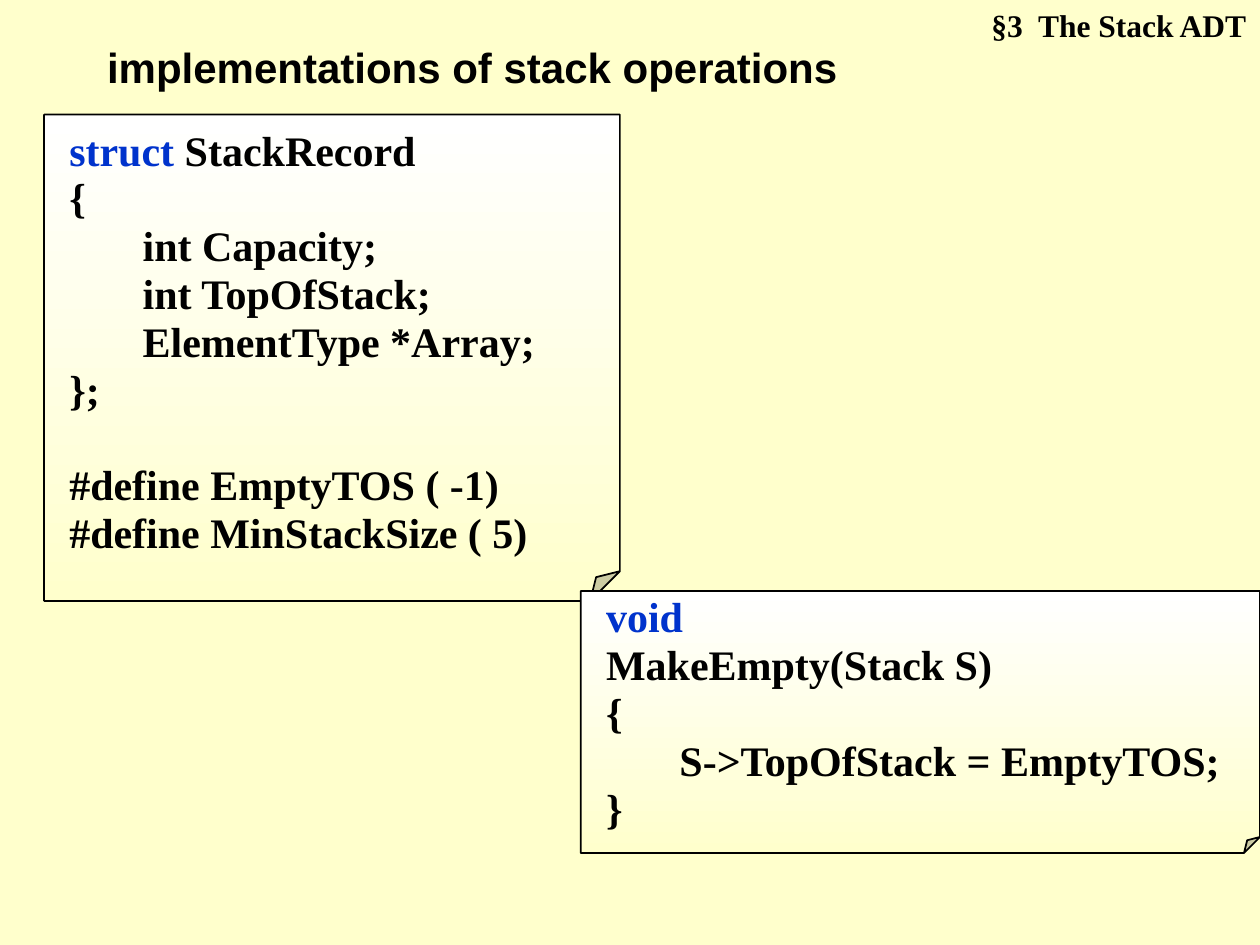
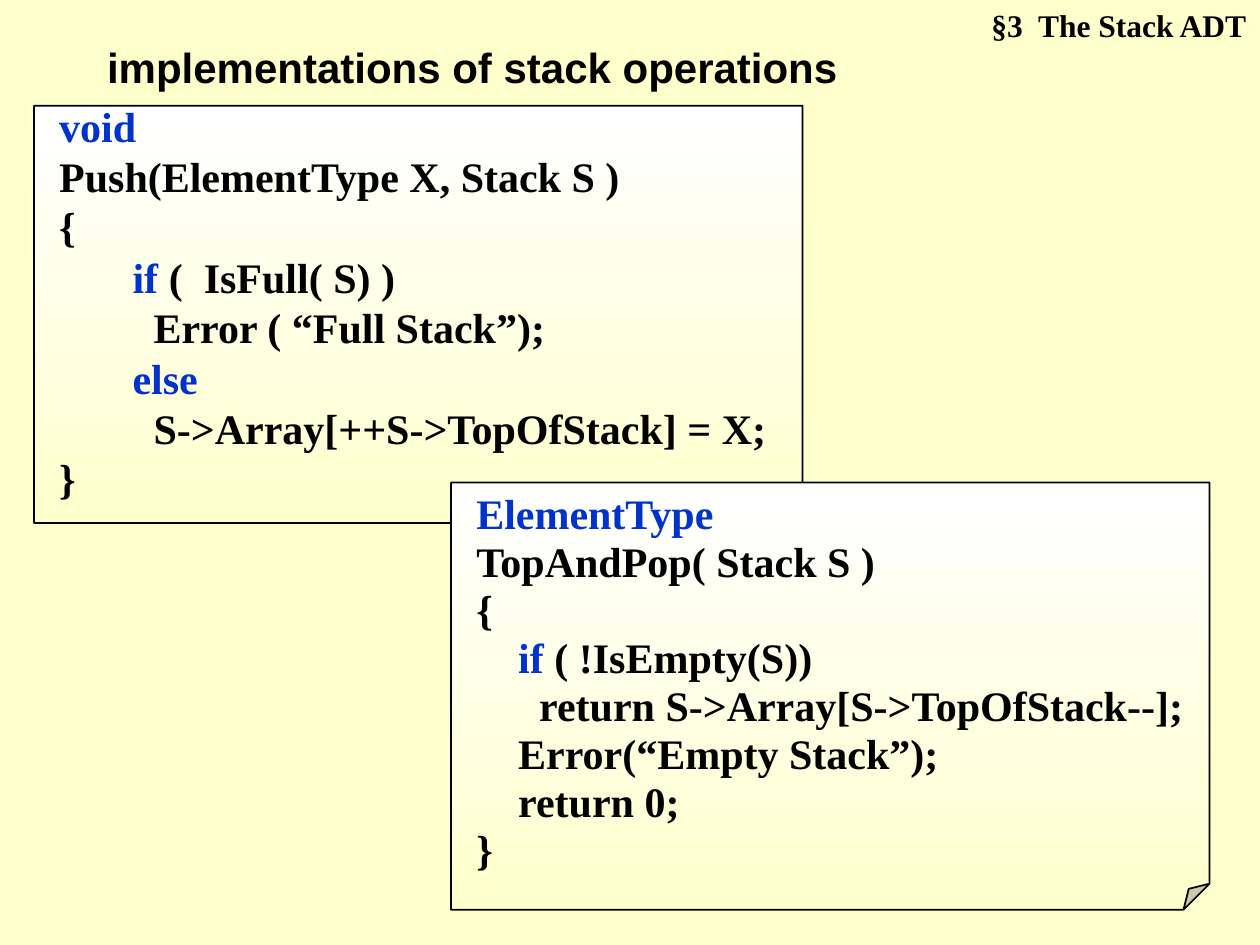
from dataclasses import dataclass

from lxml.etree import SubElement
from pptx import Presentation
from pptx.dml.color import RGBColor
from pptx.enum.shapes import MSO_SHAPE
from pptx.enum.text import MSO_ANCHOR, MSO_AUTO_SIZE, PP_ALIGN
from pptx.oxml.ns import qn
from pptx.presentation import Presentation as Deck
from pptx.shapes.autoshape import Shape
from pptx.slide import Slide
from pptx.text.text import Font, TextFrame
from pptx.util import Emu, Pt

EMU_PER_PX = 9144
CREAM = RGBColor(0xFF, 0xFF, 0xCC)
WHITE = RGBColor(0xFF, 0xFF, 0xFF)
BLACK = RGBColor(0x00, 0x00, 0x00)
KEYWORD_BLUE = RGBColor(0x00, 0x33, 0xCC)
HEADING_FONT = "Arial"
BODY_FONT = "Times New Roman"
TITLE_ONLY_LAYOUT = 5
CODE_SIZE = 24
FOLD_SIZE = 6100
TITLE = "implementations of stack operations"
SECTION = "§3  The Stack ADT"


@dataclass(frozen=True)
class Box:
    left: int
    top: int
    width: int
    height: int

    def emu(self) -> tuple[Emu, Emu, Emu, Emu]:
        return px(self.left), px(self.top), px(self.width), px(self.height)


@dataclass(frozen=True)
class CodeLine:
    text: str = ""
    keyword: str = ""
    gap_before: int = 0


@dataclass(frozen=True)
class CodeNote:
    box: Box
    lines: tuple[CodeLine, ...]
    line_spacing: float = 0.95


TITLE_BOX = Box(75, 28, 622, 50)
SECTION_BOX = Box(657, 0, 342, 40)

STACK_RECORD = CodeNote(Box(35, 91, 457, 386), (
    CodeLine(" StackRecord", "struct"),
    CodeLine("{"),
    CodeLine("       int Capacity;"),
    CodeLine("       int TopOfStack;"),
    CodeLine("       ElementType *Array;"),
    CodeLine("};"),
    CodeLine("#define EmptyTOS ( -1)", gap_before=27),
    CodeLine("#define MinStackSize ( 5)"),
))
MAKE_EMPTY = CodeNote(Box(461, 469, 539, 208), (
    CodeLine(keyword="void"),
    CodeLine("MakeEmpty(Stack S)"),
    CodeLine("{"),
    CodeLine("       S->TopOfStack = EmptyTOS;"),
    CodeLine("}"),
))
PUSH = CodeNote(Box(27, 84, 610, 331), (
    CodeLine(keyword="void"),
    CodeLine("Push(ElementType X, Stack S )"),
    CodeLine("{"),
    CodeLine(" (  IsFull( S) )", "       if"),
    CodeLine("         Error ( “Full Stack”);"),
    CodeLine(keyword="       else"),
    CodeLine("         S->Array[++S->TopOfStack] = X;"),
    CodeLine("}"),
), line_spacing=1.0)
TOP_AND_POP = CodeNote(Box(358, 383, 602, 339), (
    CodeLine(keyword="ElementType"),
    CodeLine("TopAndPop( Stack S )"),
    CodeLine("{"),
    CodeLine(" ( !IsEmpty(S))", "    if"),
    CodeLine("      return S->Array[S->TopOfStack--];"),
    CodeLine("    Error(“Empty Stack”);"),
    CodeLine("    return 0;"),
    CodeLine("}"),
))
SLIDES = ((STACK_RECORD, MAKE_EMPTY), (PUSH, TOP_AND_POP))


def px(length: int) -> Emu:
    return Emu(length * EMU_PER_PX)


def style_font(font: Font, name: str, size: int, color: RGBColor = BLACK) -> None:
    font.name = name
    font.size = Pt(size)
    font.bold = True
    font.color.rgb = color


def set_frame(frame: TextFrame, anchor: MSO_ANCHOR, left: int = 10, right: int = 10) -> None:
    frame.word_wrap = True
    frame.auto_size = MSO_AUTO_SIZE.NONE
    frame.vertical_anchor = anchor
    frame.margin_left, frame.margin_right = px(left), px(right)
    frame.margin_top = frame.margin_bottom = px(5)


def write_label(frame: TextFrame, text: str, font_name: str, size: int,
                alignment: PP_ALIGN) -> None:
    set_frame(frame, MSO_ANCHOR.TOP)
    frame.text = text
    paragraph = frame.paragraphs[0]
    paragraph.alignment = alignment
    style_font(paragraph.runs[0].font, font_name, size)


def add_headings(slide: Slide) -> None:
    title = slide.shapes.title
    title.left, title.top, title.width, title.height = TITLE_BOX.emu()
    write_label(title.text_frame, TITLE, HEADING_FONT, 24, PP_ALIGN.LEFT)
    section = slide.shapes.add_textbox(*SECTION_BOX.emu())
    write_label(section.text_frame, SECTION, BODY_FONT, 18, PP_ALIGN.RIGHT)


def set_fold(shape: Shape) -> None:
    geometry = shape.element.spPr.find(qn("a:prstGeom"))
    adjustments = geometry.find(qn("a:avLst"))
    if adjustments is None:
        adjustments = SubElement(geometry, qn("a:avLst"))
    SubElement(adjustments, qn("a:gd"), name="adj", fmla=f"val {FOLD_SIZE}")


def add_code_note(slide: Slide, note: CodeNote) -> None:
    shape = slide.shapes.add_shape(MSO_SHAPE.FOLDED_CORNER, *note.box.emu())
    set_fold(shape)
    shape.shadow.inherit = False
    shape.fill.gradient()
    shape.fill.gradient_angle = 270
    for stop, position, color in zip(shape.fill.gradient_stops, (0, 1), (WHITE, CREAM)):
        stop.position = position
        stop.color.rgb = color
    shape.line.color.rgb = BLACK
    shape.line.width = Pt(1)

    frame = shape.text_frame
    set_frame(frame, MSO_ANCHOR.MIDDLE, left=20, right=4)
    for index, line in enumerate(note.lines):
        paragraph = frame.add_paragraph() if index else frame.paragraphs[0]
        paragraph.alignment = PP_ALIGN.LEFT
        paragraph.line_spacing = note.line_spacing
        if line.gap_before:
            paragraph.space_before = Pt(line.gap_before)
        for text, color in ((line.keyword, KEYWORD_BLUE), (line.text, BLACK)):
            if text:
                run = paragraph.add_run()
                run.text = text
                style_font(run.font, BODY_FONT, CODE_SIZE, color)


def add_code_slide(presentation: Deck, notes: tuple[CodeNote, ...]) -> None:
    slide = presentation.slides.add_slide(presentation.slide_layouts[TITLE_ONLY_LAYOUT])
    add_headings(slide)
    for note in notes:
        add_code_note(slide, note)


def main() -> None:
    presentation = Presentation()
    presentation.slide_width, presentation.slide_height = px(1000), px(750)
    background = presentation.slide_master.background.fill
    background.solid()
    background.fore_color.rgb = CREAM
    for notes in SLIDES:
        add_code_slide(presentation, notes)
    presentation.save("out.pptx")


if __name__ == "__main__":
    main()
